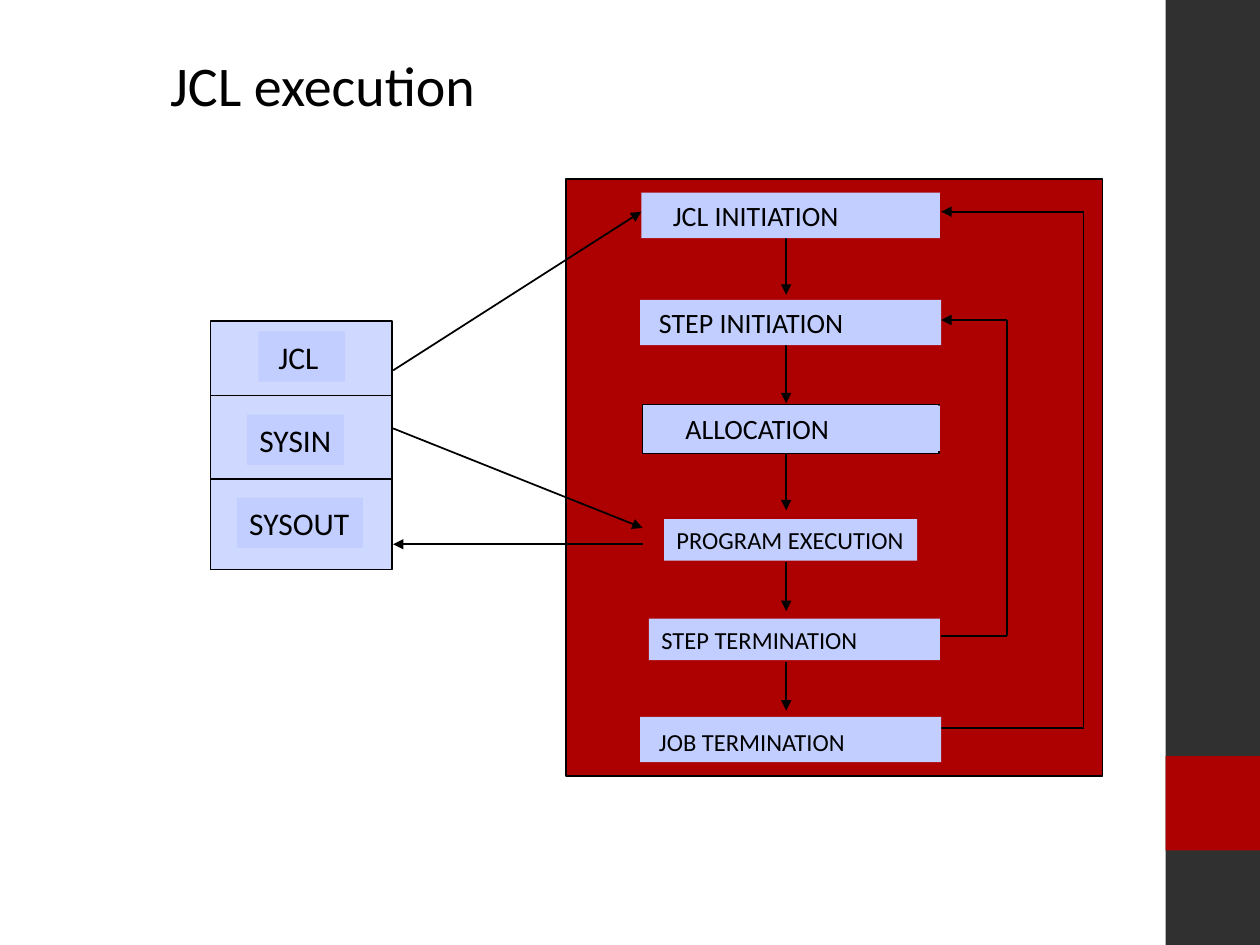
"""Build the JCL execution slide: job input and output beside the execution flow."""
from dataclasses import dataclass
from typing import Optional

from lxml import etree
from pptx import Presentation
from pptx.dml.color import RGBColor
from pptx.enum.shapes import MSO_CONNECTOR, MSO_SHAPE
from pptx.enum.text import MSO_ANCHOR, PP_ALIGN
from pptx.oxml.ns import qn
from pptx.util import Inches, Pt

BLACK = RGBColor(0x00, 0x00, 0x00)
CHARCOAL = RGBColor(0x30, 0x30, 0x30)
RED = RGBColor(0xAD, 0x01, 0x01)
LAVENDER = RGBColor(0xC1, 0xCE, 0xFF)
FONT = "Calibri"
WIDTH, HEIGHT = Inches(10), Inches(7.5)
COLUMN, ROW = WIDTH / 100, HEIGHT / 75


@dataclass(frozen=True)
class Panel:
    """A plain rectangle in grid columns and rows."""
    column: float
    row: float
    columns: float
    rows: float
    fill: RGBColor
    outlined: bool = False
    opacity: int = 100


@dataclass(frozen=True)
class Label:
    """A filled caption, indented by a number of columns."""
    text: str
    column: float
    row: float
    columns: float
    rows: float
    size: int
    indent: float = 0


@dataclass(frozen=True)
class Link:
    """A line from one grid point to another, with an optional arrowhead."""
    start: tuple[float, float]
    end: tuple[float, float]
    arrow: bool = False


@dataclass(frozen=True)
class Loop:
    """A return path from a lower step to an upper one."""
    left: float
    right: float
    top: float
    bottom: float


SIDEBAR = [Panel(92.5, 0, 7.5, 75, CHARCOAL), Panel(92.5, 60, 7.5, 7.5, RED)]
FRAMES = [
    Panel(16.7, 25.5, 14.4, 19.7, LAVENDER, True, 77),
    Panel(44.9, 14.2, 42.6, 47.4, RED, True),
    Panel(51, 32.1, 23.5, 3.9, LAVENDER, True),
]
STEPS = [
    Label("JCL INITIATION", 50.9, 15.3, 23.7, 3.6, 16, 1.5),
    Label("STEP INITIATION", 50.8, 23.8, 23.9, 3.6, 16, 0.5),
    Label("ALLOCATION", 51.4, 32.2, 23.2, 3.6, 16, 2),
    Label("PROGRAM EXECUTION", 52.7, 41.2, 20.1, 3.3, 14),
    Label("STEP TERMINATION", 51.5, 49.1, 23.1, 3.3, 14),
    Label("JOB TERMINATION", 50.8, 56.9, 23.9, 3.6, 14, 0.5),
]
FILES = [
    Label("JCL", 20.5, 26.3, 6.9, 4, 18, 0.6),
    Label("SYSIN", 19.6, 32.9, 7.7, 4, 18),
    Label("SYSOUT", 18.8, 39.5, 10, 4, 18),
]
FLOW_COLUMN = 62.4
FLOW_ROWS = [(18.9, 23.4), (27.4, 32), (36, 40.5), (44.6, 48.5), (52.5, 56.4)]
DIVIDER_ROWS = [31.4, 38]
LOOPS = [Loop(74.7, 79.9, 25.4, 50.5), Loop(74.7, 86, 16.8, 57.8)]
EXCHANGES = [
    Link((31.2, 29.4), (50.9, 16.8), True),
    Link((31.2, 34), (51, 41.9), True),
    Link((51, 43.2), (31.2, 43.2), True),
]


def add_panel(slide, panel: Panel):
    """Draw a rectangle and return it."""
    shape = slide.shapes.add_shape(
        MSO_SHAPE.RECTANGLE, round(panel.column * COLUMN), round(panel.row * ROW),
        round(panel.columns * COLUMN), round(panel.rows * ROW))
    shape.shadow.inherit = False
    shape.fill.solid()
    shape.fill.fore_color.rgb = panel.fill
    if panel.opacity < 100:
        color = shape.fill._xPr.find(f".//{qn('a:srgbClr')}")
        etree.SubElement(color, qn("a:alpha"), val=str(panel.opacity * 1000))
    if panel.outlined:
        shape.line.color.rgb = BLACK
        shape.line.width = Pt(1)
    else:
        shape.line.fill.background()
    return shape


def write(shape, text: str, size: int, anchor: MSO_ANCHOR, indent: Optional[float] = 0) -> None:
    """Fill a shape with one left-aligned black line."""
    frame = shape.text_frame
    frame.word_wrap = True
    frame.vertical_anchor = anchor
    frame.margin_left = round((1 + indent) * COLUMN)
    frame.margin_right = 0
    frame.margin_top = frame.margin_bottom = Inches(0.05)
    paragraph = frame.paragraphs[0]
    paragraph.text = text
    paragraph.alignment = PP_ALIGN.LEFT
    paragraph.font.name = FONT
    paragraph.font.size = Pt(size)
    paragraph.font.color.rgb = BLACK


def add_label(slide, label: Label) -> None:
    """Draw a caption on its lavender box."""
    box = add_panel(slide, Panel(label.column, label.row, label.columns, label.rows, LAVENDER))
    write(box, label.text, label.size, MSO_ANCHOR.BOTTOM, label.indent)


def add_link(slide, link: Link) -> None:
    """Draw a thin black line or arrow."""
    (x1, y1), (x2, y2) = link.start, link.end
    line = slide.shapes.add_connector(
        MSO_CONNECTOR.STRAIGHT, round(x1 * COLUMN), round(y1 * ROW),
        round(x2 * COLUMN), round(y2 * ROW))
    line.line.color.rgb = BLACK
    line.line.width = Pt(1)
    if link.arrow:
        etree.SubElement(line.line._get_or_add_ln(), qn("a:tailEnd"), type="triangle")
    etree.SubElement(line._element.spPr, qn("a:effectLst"))


def add_loop(slide, loop: Loop) -> None:
    """Draw a return path ending in an arrow at its upper step."""
    add_link(slide, Link((loop.left, loop.bottom), (loop.right, loop.bottom)))
    add_link(slide, Link((loop.right, loop.bottom), (loop.right, loop.top)))
    add_link(slide, Link((loop.right, loop.top), (loop.left, loop.top), True))


def main() -> None:
    """Assemble and save the slide."""
    deck = Presentation()
    deck.slide_width, deck.slide_height = WIDTH, HEIGHT
    slide = deck.slides.add_slide(deck.slide_layouts[5])
    title = slide.shapes.title
    title.left, title.top = round(12.5 * COLUMN), round(3.3 * ROW)
    title.width, title.height = round(74.2 * COLUMN), round(6.7 * ROW)
    write(title, "JCL execution", 32, MSO_ANCHOR.MIDDLE)

    for panel in SIDEBAR + FRAMES:
        add_panel(slide, panel)
    dividers = [Link((16.7, row), (31.1, row)) for row in DIVIDER_ROWS]
    flow = [Link((FLOW_COLUMN, top), (FLOW_COLUMN, bottom), True) for top, bottom in FLOW_ROWS]
    for link in dividers + flow:
        add_link(slide, link)
    for loop in LOOPS:
        add_loop(slide, loop)
    for label in STEPS + FILES:
        add_label(slide, label)
    for link in EXCHANGES:
        add_link(slide, link)
    deck.save("out.pptx")


if __name__ == "__main__":
    main()
